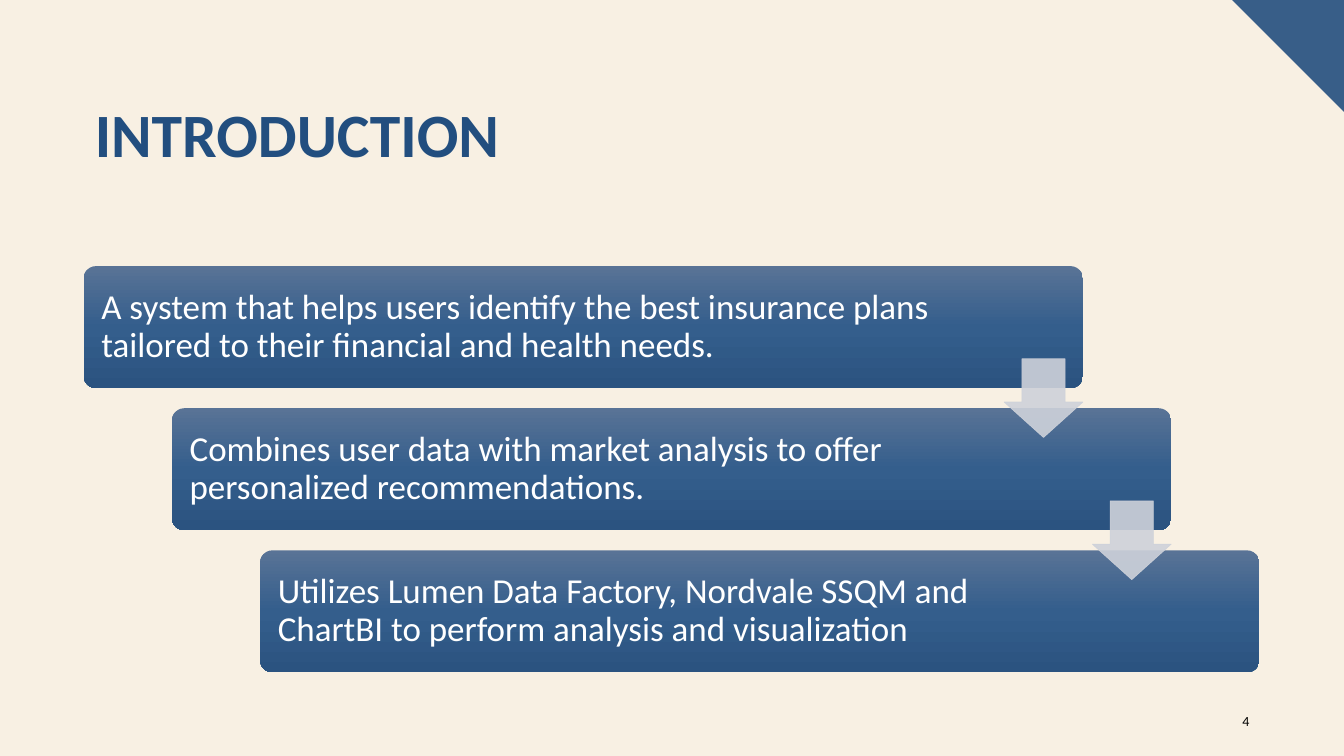
"""Build the introduction slide: a staircase of three cards joined by arrows."""
from copy import deepcopy
from dataclasses import dataclass

from pptx import Presentation
from pptx.dml.color import RGBColor
from pptx.enum import shapes, text
from pptx.oxml import ns, xmlchemy
from pptx.util import Inches, Pt


@dataclass(frozen=True)
class Theme:
    font: str = "Calibri"
    background: str = "F8F0E3"
    corner: str = "385E88"
    title: str = "224E7F"
    card_text: str = "FFFFFF"
    number: str = "000000"
    arrow: str = "CED2DA"
    card_stops: tuple = ((0, "597396"), (0.5, "345E8C"), (1, "2B5380"))
    title_size: int = 44
    card_size: int = 25
    number_size: int = 10


THEME = Theme()
CARD_WIDTH, CARD_HEIGHT = 9.91, 1.21
CARD_LEFT, CARD_TOP = 0.83, 2.64
STEP_X, STEP_Y = 0.875, 1.41
ARROW_SIZE, ARROW_DROP = 0.78, 0.92
CARD_INSET = 0.14
STEPS = (
    ("A system that helps users identify the best insurance plans "
     "tailored to their financial and health needs.", 1.36),
    ("Combines user data with market analysis to offer "
     "personalized recommendations.", 1.79),
    ("Utilizes Lumen Data Factory, Nordvale SSQM and ChartBI "
     "to perform analysis and visualization", 1.79),
)


def colour(value):
    return RGBColor.from_string(value)


def write(frame, words, *, size, color, bold=False, align=text.PP_ALIGN.LEFT,
          anchor=text.MSO_ANCHOR.MIDDLE, spacing=0.9, margins=(0.1, 0.05, 0.1, 0.05)):
    frame.word_wrap = True
    frame.auto_size = text.MSO_AUTO_SIZE.NONE
    frame.vertical_anchor = anchor
    (frame.margin_left, frame.margin_top,
     frame.margin_right, frame.margin_bottom) = map(Inches, margins)
    paragraph = frame.paragraphs[0]
    paragraph.alignment = align
    paragraph.line_spacing = spacing
    run = paragraph.add_run()
    run.text = words
    run.font.name = THEME.font
    run.font.size = Pt(size)
    run.font.bold = bold
    run.font.color.rgb = colour(color)


def set_alpha(fill_element, percent):
    for solid in fill_element.iter(ns.qn("a:srgbClr")):
        alpha = xmlchemy.OxmlElement("a:alpha")
        alpha.set("val", str(percent * 1000))
        solid.append(alpha)


def shade(card):
    card.fill.gradient()
    card.fill.gradient_angle = 270
    stop_list = next(card._element.spPr.iter(ns.qn("a:gsLst")))
    stop_list.append(deepcopy(stop_list[0]))
    for stop, (position, value) in zip(card.fill.gradient_stops, THEME.card_stops):
        stop.position = position
        stop.color.rgb = colour(value)


def add_corner(slide):
    builder = slide.shapes.build_freeform(Inches(12.22), 0)
    builder.add_line_segments([(Inches(13.33), 0), (Inches(13.33), Inches(1.11))])
    corner = builder.convert_to_shape()
    corner.shadow.inherit = False
    corner.fill.solid()
    corner.fill.fore_color.rgb = colour(THEME.corner)
    corner.line.fill.background()


def add_title(slide, words):
    title = slide.shapes.title
    title.left, title.top = Inches(0.84), Inches(0.98)
    title.width, title.height = Inches(11.66), Inches(1.45)
    write(title.text_frame, words, size=THEME.title_size, color=THEME.title,
          bold=True, anchor=text.MSO_ANCHOR.TOP)


def add_card(slide, left, top, words, right_inset):
    card = slide.shapes.add_shape(
        shapes.MSO_SHAPE.ROUNDED_RECTANGLE, Inches(left), Inches(top),
        Inches(CARD_WIDTH), Inches(CARD_HEIGHT))
    card.adjustments[0] = 0.1
    card.shadow.inherit = False
    card.line.fill.background()
    shade(card)
    write(card.text_frame, words, size=THEME.card_size, color=THEME.card_text,
          margins=(CARD_INSET, 0.1, right_inset, 0.1))


def add_arrow(slide, left, top):
    arrow = slide.shapes.add_shape(
        shapes.MSO_SHAPE.DOWN_ARROW, Inches(left), Inches(top),
        Inches(ARROW_SIZE), Inches(ARROW_SIZE))
    arrow.adjustments[0], arrow.adjustments[1] = 0.55, 0.45
    arrow.shadow.inherit = False
    arrow.fill.solid()
    arrow.fill.fore_color.rgb = colour(THEME.arrow)
    arrow.line.color.rgb = colour(THEME.arrow)
    arrow.line.width = Pt(0.5)
    set_alpha(arrow._element.spPr, 90)


def add_page_number(slide, number):
    box = slide.shapes.add_textbox(Inches(11.99), Inches(6.95), Inches(0.5), Inches(0.4))
    write(box.text_frame, number, size=THEME.number_size, color=THEME.number,
          align=text.PP_ALIGN.RIGHT, spacing=1.0)


def main():
    deck = Presentation()
    deck.slide_width, deck.slide_height = Inches(13.33), Inches(7.5)
    slide = deck.slides.add_slide(deck.slide_layouts[5])
    slide.background.fill.solid()
    slide.background.fill.fore_color.rgb = colour(THEME.background)
    add_corner(slide)
    add_title(slide, "INTRODUCTION")
    add_page_number(slide, "4")
    corners = [(CARD_LEFT + i * STEP_X, CARD_TOP + i * STEP_Y) for i in range(len(STEPS))]
    for (left, top), (words, right_inset) in zip(corners, STEPS):
        add_card(slide, left, top, words, right_inset)
    for left, top in corners[:-1]:
        add_arrow(slide, left + CARD_WIDTH - ARROW_SIZE, top + ARROW_DROP)
    deck.save("out.pptx")


if __name__ == "__main__":
    main()
